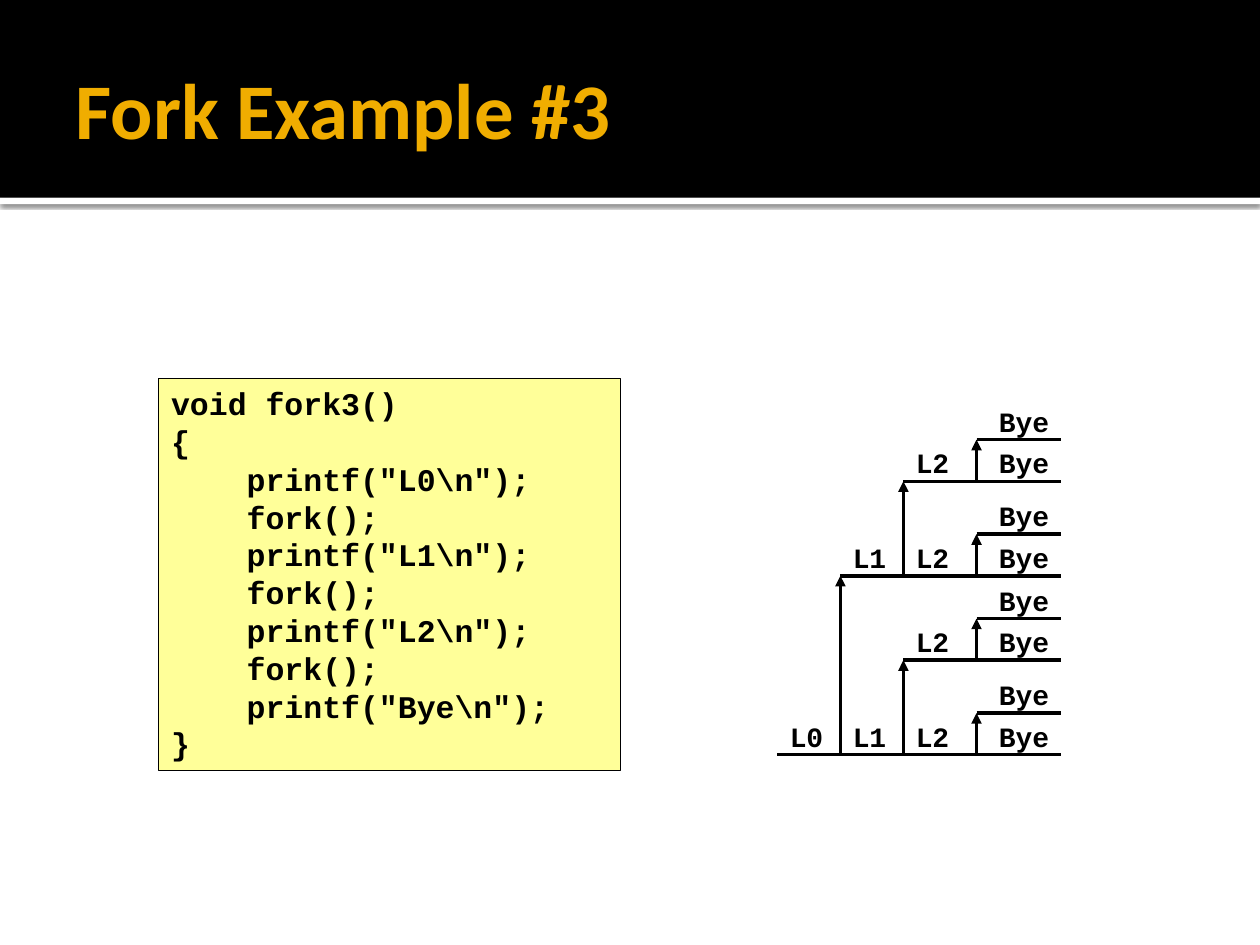
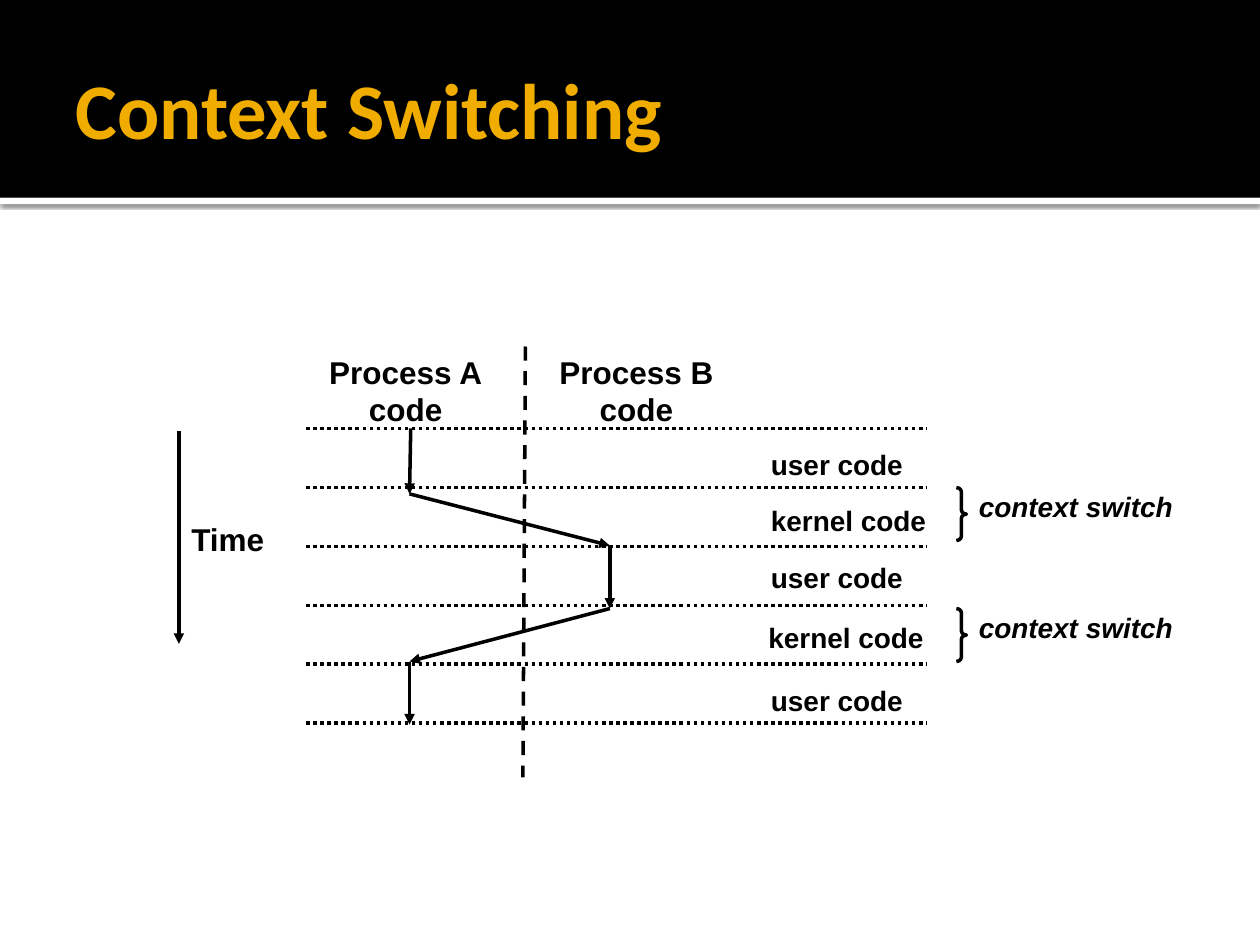
from dataclasses import dataclass
from itertools import pairwise

from lxml.etree import SubElement
from pptx import Presentation
from pptx.dml.color import RGBColor
from pptx.enum.dml import MSO_LINE as Dash
from pptx.enum.shapes import MSO_CONNECTOR as Connector, MSO_SHAPE as Preset
from pptx.enum.text import MSO_ANCHOR as Anchor, MSO_AUTO_SIZE as AutoSize, PP_ALIGN as Align
from pptx.oxml.ns import qn
from pptx.util import Inches, Pt


@dataclass(frozen=True)
class Theme:
    ink: RGBColor = RGBColor(0, 0, 0)
    paper: RGBColor = RGBColor(255, 255, 255)
    title: RGBColor = RGBColor(0xF0, 0xAD, 0x00)
    code_fill: RGBColor = RGBColor(0xFF, 0xFF, 0x99)
    title_font: str = "Calibri"
    body_font: str = "Arial"
    code_font: str = "Courier New"
    title_size: int = 45
    large: int = 18
    small: int = 16
    stroke: float = 2
    outline: float = 0.25
    label_height: float = 0.37


@dataclass(frozen=True)
class Box:
    left: float
    top: float
    width: float
    height: float

    def inner(self, left, top, width, height):
        return Box(self.left + left, self.top + top, width, height)

    def point(self, x, y):
        return self.left + x, self.top + y

    def lengths(self):
        return [Inches(value) for value in (self.left, self.top, self.width, self.height)]


THEME = Theme()
TITLE_BOX = Box(0.5, 0.17, 9, 1.37)
HEADER_BOX = Box(0, 0, 10, 1.62)
RULE_HEIGHT = 0.05

CODE_LINES = [
    "void fork3()",
    "{",
    '    printf("L0\\n");',
    "    fork();",
    '    printf("L1\\n");',
    "    fork();",
    '    printf("L2\\n");',
    "    fork();",
    '    printf("Bye\\n");',
    "}",
]


def style_font(font, name, size, color=THEME.ink, italic=None):
    font.name = name
    font.size = Pt(size)
    font.color.rgb = color
    font.bold = True
    font.italic = italic


def add_text(slide, box, lines, font, size, align=Align.LEFT, italic=None):
    shape = slide.shapes.add_textbox(*box.lengths())
    frame = shape.text_frame
    frame.word_wrap = False
    frame.auto_size = AutoSize.SHAPE_TO_FIT_TEXT
    for index, line in enumerate(lines):
        paragraph = frame.add_paragraph() if index else frame.paragraphs[0]
        paragraph.alignment = align
        run = paragraph.add_run()
        run.text = line
        style_font(run.font, font, size, italic=italic)
    return shape


def add_line(slide, start, end, arrow=False, dash=None):
    connector = slide.shapes.add_connector(
        Connector.STRAIGHT, *[Inches(value) for value in (*start, *end)]
    )
    connector.line.color.rgb = THEME.ink
    connector.line.width = Pt(THEME.stroke)
    if dash:
        connector.line.dash_style = dash
    properties = connector._element.spPr
    if arrow:
        SubElement(properties.find(qn("a:ln")), qn("a:tailEnd"), type="triangle")
    SubElement(properties, qn("a:effectLst"))


def add_band(slide, box, color):
    band = slide.shapes.add_shape(Preset.RECTANGLE, *box.lengths())
    band.shadow.inherit = False
    band.fill.solid()
    band.fill.fore_color.rgb = color
    band.line.fill.background()
    return band


def add_rule_shadow(band):
    effects = band._element.spPr.find(qn("a:effectLst"))
    shadow = SubElement(
        effects, qn("a:outerShdw"), blurRad=str(Pt(2.5)), dist=str(Pt(0.8)),
        dir="5400000", algn="tl", rotWithShape="0",
    )
    color = SubElement(shadow, qn("a:srgbClr"), val=str(THEME.ink))
    SubElement(color, qn("a:alpha"), val="60000")


def put_header_on_layout(slide, box):
    band_height = box.height - RULE_HEIGHT
    rule = add_band(slide, box.inner(0, band_height, box.width, RULE_HEIGHT), THEME.paper)
    add_rule_shadow(rule)
    band = add_band(slide, box.inner(0, 0, box.width, band_height), THEME.ink)
    layout_tree = slide.slide_layout.shapes._spTree
    for index, shape in enumerate((rule, band)):
        shape._element.nvSpPr.cNvPr.set("id", str(20 + index))
        layout_tree.insert(2 + index, shape._element)


def add_titled_slide(presentation, layout, text):
    slide = presentation.slides.add_slide(layout)
    title = slide.shapes.title
    title.left, title.top, title.width, title.height = TITLE_BOX.lengths()
    frame = title.text_frame
    frame.auto_size = AutoSize.NONE
    frame.word_wrap = True
    frame.vertical_anchor = Anchor.MIDDLE
    frame.margin_left = Inches(0.1)
    frame.margin_right = frame.margin_top = frame.margin_bottom = Inches(0.05)
    paragraph = frame.paragraphs[0]
    paragraph.alignment = Align.LEFT
    run = paragraph.add_run()
    run.text = text
    style_font(run.font, THEME.title_font, THEME.title_size, THEME.title)
    return slide


def add_code(slide, box):
    code = add_text(slide, box, CODE_LINES, THEME.code_font, THEME.large)
    code.fill.solid()
    code.fill.fore_color.rgb = THEME.code_fill
    code.line.color.rgb = THEME.ink
    code.line.width = Pt(THEME.outline)


def add_fork_tree(slide, box):
    starts = [0, 0.5, 1, 1.58]
    rises = [1.42, 0.75, 0.33]
    bye_left = 1.66
    label_rise = 0.33

    def add_label(text, x, baseline, width):
        label_box = box.inner(x, baseline - label_rise, width, THEME.label_height)
        add_text(slide, label_box, [text], THEME.code_font, THEME.small)

    def add_process(depth, baseline):
        add_line(slide, box.point(starts[depth], baseline), box.point(box.width, baseline))
        add_label("Bye", bye_left, baseline, 0.6)
        for level in range(depth, len(rises)):
            child_x, child_baseline = starts[level + 1], baseline - rises[level]
            add_label(f"L{level}", starts[level], baseline, 0.47)
            add_line(slide, box.point(child_x, baseline),
                     box.point(child_x, child_baseline), arrow=True)
            add_process(level + 1, child_baseline)

    add_process(0, box.height)


def add_time_axis(slide, box):
    add_line(slide, box.point(0, 0), box.point(0, box.height), arrow=True)
    add_text(slide, box.inner(0, 0.66, box.width, 0.4), ["Time"], THEME.body_font, THEME.large)


def add_process_lanes(slide, box):
    for name, left in (("A", 0.08), ("B", 1.91)):
        add_text(slide, box.inner(left, 0, 1.42, 0.7), [f"Process {name}", "code"],
                 THEME.body_font, THEME.large, Align.CENTER)

    first_row, row_count = 0.65, 6
    pitch = (box.height - first_row) / (row_count - 1)
    for row in range(row_count):
        y = first_row + row * pitch
        add_line(slide, box.point(0, y), box.point(box.width, y), dash=Dash.ROUND_DOT)
    add_line(slide, box.point(1.74, 0), box.point(1.72, 3.42), dash=Dash.DASH)

    flow = [(0.83, 0.65), (0.82, 1.17), (2.41, 1.58), (2.41, 2.08), (0.82, 2.5), (0.82, 3)]
    for start, end in pairwise(flow):
        add_line(slide, box.point(*start), box.point(*end), arrow=True)

    modes = [("user", 3.59, 0.75), ("kernel", 3.59, 1.2), ("user", 3.59, 1.65),
             ("kernel", 3.57, 2.13), ("user", 3.59, 2.63)]
    widths = {"user": 1.25, "kernel": 1.44}
    for mode, left, top in modes:
        add_text(slide, box.inner(left, top, widths[mode], THEME.label_height),
                 [f"{mode} code"], THEME.body_font, THEME.small)


def add_context_switch(slide, box):
    brace = slide.shapes.add_shape(Preset.RIGHT_BRACE, *box.inner(0, 0, 0.08, box.height).lengths())
    brace.shadow.inherit = False
    brace.adjustments[0] = 0.42
    brace.adjustments[1] = 0.5
    brace.fill.background()
    brace.line.color.rgb = THEME.ink
    brace.line.width = Pt(THEME.stroke)
    add_text(slide, box.inner(0.08, -0.03, box.width - 0.08, THEME.label_height),
             ["context switch"], THEME.body_font, THEME.small, italic=True)


def build_fork_slide(presentation, layout):
    slide = add_titled_slide(presentation, layout, "Fork Example #3")
    put_header_on_layout(slide, HEADER_BOX)
    add_code(slide, Box(1.26, 3, 3.66, 3.11))
    add_fork_tree(slide, Box(6.17, 3.16, 2.25, 2.83))


def build_switching_slide(presentation, layout):
    slide = add_titled_slide(presentation, layout, "Context Switching")
    add_time_axis(slide, Box(1.42, 3.42, 0.78, 1.69))
    add_process_lanes(slide, Box(2.43, 2.75, 4.92, 2.99))
    for top in (3.87, 4.83):
        add_context_switch(slide, Box(7.59, top, 1.82, 0.42))


def main():
    presentation = Presentation()
    presentation.slide_width = Inches(10)
    presentation.slide_height = Inches(7.5)
    layout = presentation.slide_layouts.get_by_name("Title Only")
    build_fork_slide(presentation, layout)
    build_switching_slide(presentation, layout)
    presentation.save("out.pptx")


if __name__ == "__main__":
    main()
